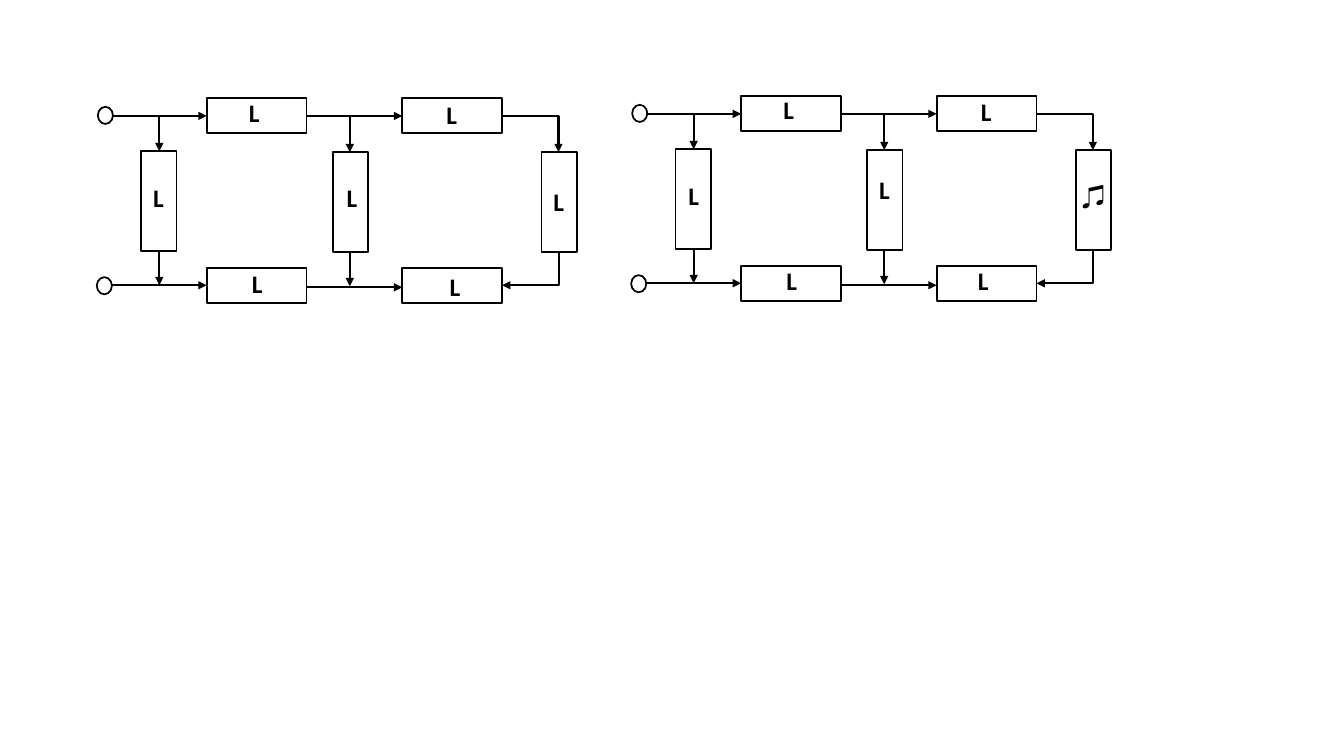
"""Draw two ladder networks side by side."""
from lxml import etree
from pptx import Presentation
from pptx import util as u
from pptx.dml.color import RGBColor
from pptx.enum import shapes, text
from pptx.oxml.ns import qn

COLORS = {"ink": "000000", "box": "FFFFFF"}
BOX_LENGTH, BOX_WIDTH = 0.99, 0.35
TERMINAL_SIZE = (0.15, 0.17)
SHIFT = (5.3, -0.02)
TERMINALS = [(0.97, 1.06), (0.96, 2.75)]
RAIL_BOXES = [(left, top) for left in (2.05, 3.99) for top in (0.97, 2.66)]
RUNG_BOXES = [(1.08, 1.82), (2.98, 1.83), (5.05, 1.83)]
WIRES = [
    ((1.11, 1.15), (2.05, 1.15)),
    ((1.11, 2.83), (2.05, 2.83)),
    ((3.04, 1.15), (3.99, 1.15)),
    ((3.04, 2.85), (3.99, 2.85)),
    ((1.58, 1.15), (1.58, 1.5)),
    ((1.58, 2.49), (1.58, 2.83)),
    ((3.47, 1.16), (3.47, 1.51)),
    ((3.47, 2.51), (3.47, 2.84)),
]
LABELS = [
    (1.42, 1.76), (2.37, 0.92), (2.4, 2.61), (3.34, 1.76),
    (4.33, 0.94), (4.36, 2.64), (5.39, 1.8),
    (6.73, 1.74), (7.67, 0.89), (7.7, 2.58), (8.62, 1.68),
    (9.63, 0.91), (9.6, 2.58),
]


def set_attributes(target, values):
    """Set every named attribute of the target."""
    for name, value in values.items():
        setattr(target, name, value)


def move(point, origin):
    """Return the point shifted by the origin."""
    return point[0] + origin[0], point[1] + origin[1]


def set_line(line, width):
    """Give a line its colour and width."""
    line.color.rgb = RGBColor.from_string(COLORS["ink"])
    line.width = u.Pt(width)


def add_outline(slide, kind, position, size, fill=None, rotation=0):
    """Add an outlined preset shape."""
    shape = slide.shapes.add_shape(kind, *map(u.Inches, (*position, *size)))
    shape.shadow.inherit = False
    shape.rotation = rotation
    if fill:
        shape.fill.solid()
        shape.fill.fore_color.rgb = RGBColor.from_string(COLORS[fill])
    else:
        shape.fill.background()
    set_line(shape.line, 1.25)


def add_arrow(slide, start, end, kind=shapes.MSO_CONNECTOR.STRAIGHT):
    """Add a connector with a triangular head at its end."""
    connector = slide.shapes.add_connector(kind, *map(u.Inches, (*start, *end)))
    set_line(connector.line, 1.5)
    line = connector.line._get_or_add_ln()
    etree.SubElement(line, qn("a:tailEnd"), type="triangle")
    etree.SubElement(connector._element.spPr, qn("a:effectLst"))
    return connector


def add_bent_arrow(slide, start, end, turned=False):
    """Add a one-corner arrow, turned a quarter when it leaves vertically."""
    if turned:
        center = [(a + b) / 2 for a, b in zip(start, end)]
        half = (end[0] - start[0]) / 2, (end[1] - start[1]) / 2
        start = center[0] - half[1], center[1] + half[0]
        end = center[0] + half[1], center[1] - half[0]
    connector = add_arrow(slide, start, end, shapes.MSO_CONNECTOR.ELBOW)
    properties = connector._element.spPr
    properties.find(qn("a:prstGeom")).set("prst", "bentConnector2")
    if turned:
        properties.find(qn("a:xfrm")).set("rot", "5400000")


def add_label(slide, words, position, size=(0.31, 0.4), font="Calibri"):
    """Add a bold label that does not wrap."""
    box = slide.shapes.add_textbox(*map(u.Inches, (*position, *size)))
    set_attributes(box.text_frame, {
        "word_wrap": False, "auto_size": text.MSO_AUTO_SIZE.SHAPE_TO_FIT_TEXT})
    run = box.text_frame.paragraphs[0].add_run()
    run.text = words
    set_attributes(run.font, {"name": font, "size": u.Pt(18), "bold": True})
    run.font.color.rgb = RGBColor.from_string(COLORS["ink"])
    etree.SubElement(run.font._element, qn("a:ea"), typeface=font)


def add_ladder(slide, origin):
    """Add the terminals, wires and boxes of one ladder."""
    for position in TERMINALS:
        add_outline(slide, shapes.MSO_SHAPE.FLOWCHART_CONNECTOR,
                    move(position, origin), TERMINAL_SIZE)
    for start, end in WIRES:
        add_arrow(slide, move(start, origin), move(end, origin))
    for positions, rotation in ((RAIL_BOXES, 0), (RUNG_BOXES, 90)):
        for position in positions:
            add_outline(slide, shapes.MSO_SHAPE.RECTANGLE, move(position, origin),
                        (BOX_LENGTH, BOX_WIDTH), "box", rotation)
    add_bent_arrow(slide, move((4.98, 1.15), origin), move((5.54, 1.51), origin))
    add_bent_arrow(slide, move((5.54, 2.51), origin), move((4.98, 2.83), origin), True)


def main():
    """Build and save the presentation."""
    presentation = Presentation()
    set_attributes(presentation, {
        "slide_width": u.Inches(13.33), "slide_height": u.Inches(7.5)})
    slide = presentation.slides.add_slide(presentation.slide_layouts[6])
    for origin in ((0, 0), SHIFT):
        add_ladder(slide, origin)
    for position in LABELS:
        add_label(slide, "L", position)
    add_label(slide, "♫", (10.64, 1.75), (0.41, 0.71), "Noto Sans CJK JP")
    presentation.save("out.pptx")


main()
